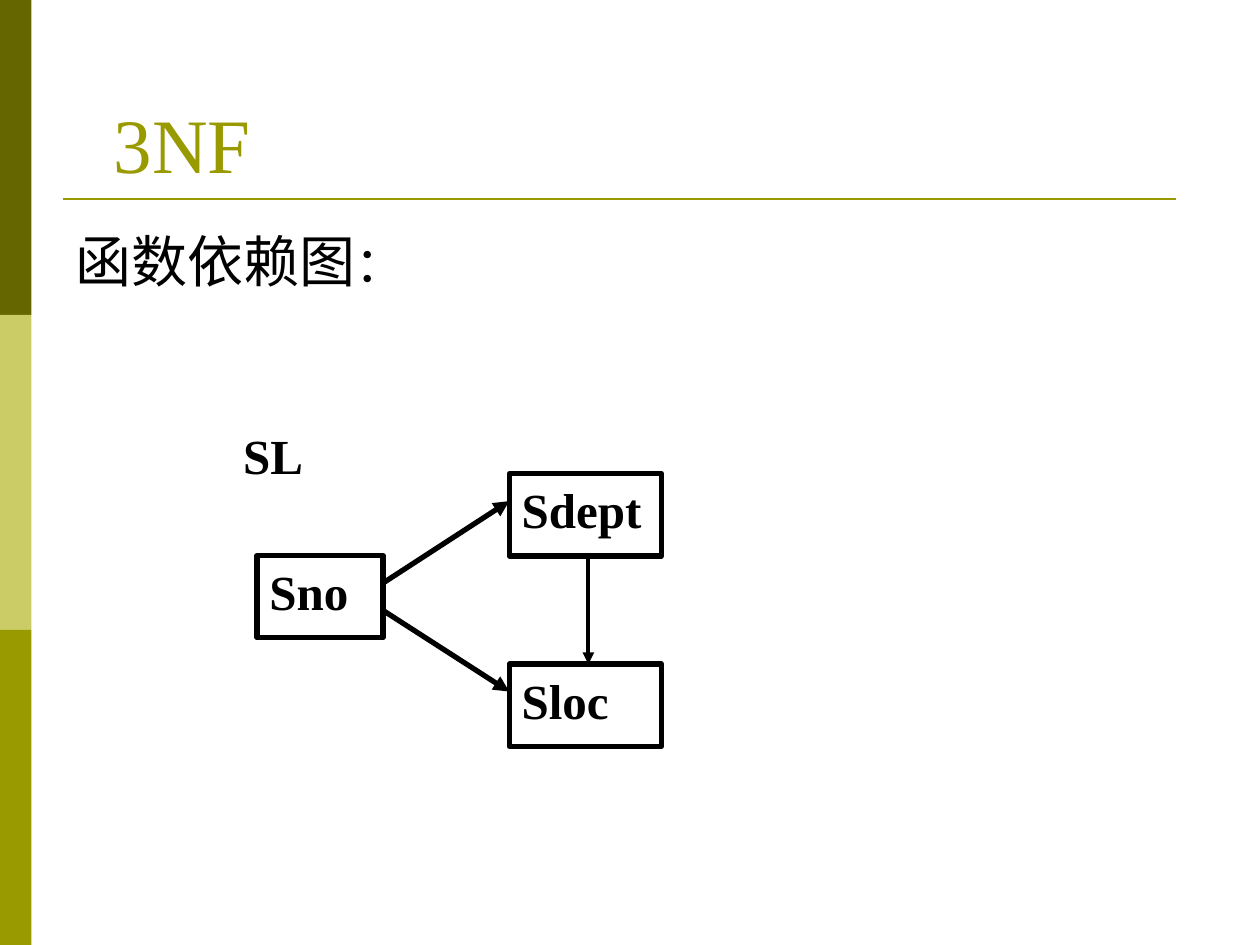
from lxml import etree
from pptx import Presentation
from pptx import util as u
from pptx.dml.color import RGBColor
from pptx.enum import shapes, text
from pptx.oxml.ns import qn

Pt = u.Pt

THEME = {
    "dark": RGBColor(0x66, 0x66, 0x00),
    "light": RGBColor(0xCC, 0xCC, 0x66),
    "accent": RGBColor(0x99, 0x99, 0x00),
    "ink": RGBColor(0, 0, 0),
    "serif": "Times New Roman",
    "sans": "DejaVu Sans",
    "title": 44, "body": 32, "small": 28,
}

# Content: text and frames as left, top, width, height in points
SIDE_BANDS = ["dark", "light", "accent"]
TITLE = ("3NF", (58, 21.6, 626, 90))
BODY = ([("函数依赖图", "body"), ("：", "small")], (36, 126, 648, 356.4))
RELATION = ("SL", (131.8, 239.8, 87, 47))
ATTRIBUTES = {
    "Sno": (146.9, 317.5, 72, 47),
    "Sdept": (291, 270.7, 87, 47),
    "Sloc": (291, 379.5, 87, 47),
}
# Each end: attribute, share of its width, share of its height
DEPENDENCIES = [
    (("Sno", 1, 1 / 3), ("Sdept", 0, 1 / 3), 3),
    (("Sno", 1, 2 / 3), ("Sloc", 0, 1 / 3), 3),
    (("Sdept", 0.52, 1), ("Sloc", 0.52, 0), 2.25),
]

presentation = Presentation()
presentation.slide_width, presentation.slide_height = Pt(720), Pt(540)
slide = presentation.slides.add_slide(presentation.slide_layouts[6])


def points(values):
    return [Pt(value) for value in values]


def add_rectangle(frame):
    shape = slide.shapes.add_shape(shapes.MSO_SHAPE.RECTANGLE, *points(frame))
    shape.shadow.inherit = False
    return shape


def write(shape, runs, font="serif", color="ink", bold=False,
          anchor=text.MSO_ANCHOR.TOP, align=text.PP_ALIGN.LEFT):
    frame = shape.text_frame
    frame.word_wrap = True
    frame.vertical_anchor = anchor
    paragraph = frame.paragraphs[0]
    paragraph.alignment = align
    for content, size in runs:
        run = paragraph.add_run()
        run.text = content
        settings = {"name": THEME[font], "size": Pt(THEME[size]), "bold": bold}
        for name, value in settings.items():
            setattr(run.font, name, value)
        run.font.color.rgb = THEME[color]
        latin = run.font._element.find(qn("a:latin"))
        east_asian = etree.Element(qn("a:ea"), typeface=THEME[font])
        latin.addnext(east_asian)


def add_text(runs, frame, **style):
    write(slide.shapes.add_textbox(*points(frame)), runs, **style)


def add_line(start, end, color, width, arrow=False):
    connector = slide.shapes.add_connector(
        shapes.MSO_CONNECTOR.STRAIGHT, *points(start + end))
    connector.line.color.rgb = THEME[color]
    connector.line.width = Pt(width)
    if arrow:
        etree.SubElement(connector.line._get_or_add_ln(), qn("a:tailEnd"),
                         type="triangle")
    etree.SubElement(connector._element.spPr, qn("a:effectLst"))


def anchor_point(name, across, down):
    left, top, width, height = ATTRIBUTES[name]
    return left + across * width, top + down * height


# Side bands and title rule
band_height = 540 / len(SIDE_BANDS)
for index, color in enumerate(SIDE_BANDS):
    band = add_rectangle((0, index * band_height, 18, band_height))
    band.fill.solid()
    band.fill.fore_color.rgb = THEME[color]
    band.line.fill.background()
add_line((36, 113.8), (672, 113.8), "accent", 1.5)

# Title and body
add_text([(TITLE[0], "title")], TITLE[1], color="accent",
         anchor=text.MSO_ANCHOR.BOTTOM)
add_text(*BODY, font="sans")

# Dependency diagram
label_style = {"bold": True, "align": text.PP_ALIGN.JUSTIFY}
add_text([(RELATION[0], "small")], RELATION[1], **label_style)
for name, frame in ATTRIBUTES.items():
    box = add_rectangle(frame)
    box.fill.background()
    box.line.color.rgb = THEME["ink"]
    box.line.width = Pt(3)
    write(box, [(name, "small")], **label_style)
for source, target, width in DEPENDENCIES:
    add_line(anchor_point(*source), anchor_point(*target), "ink", width, arrow=True)

presentation.save("out.pptx")
